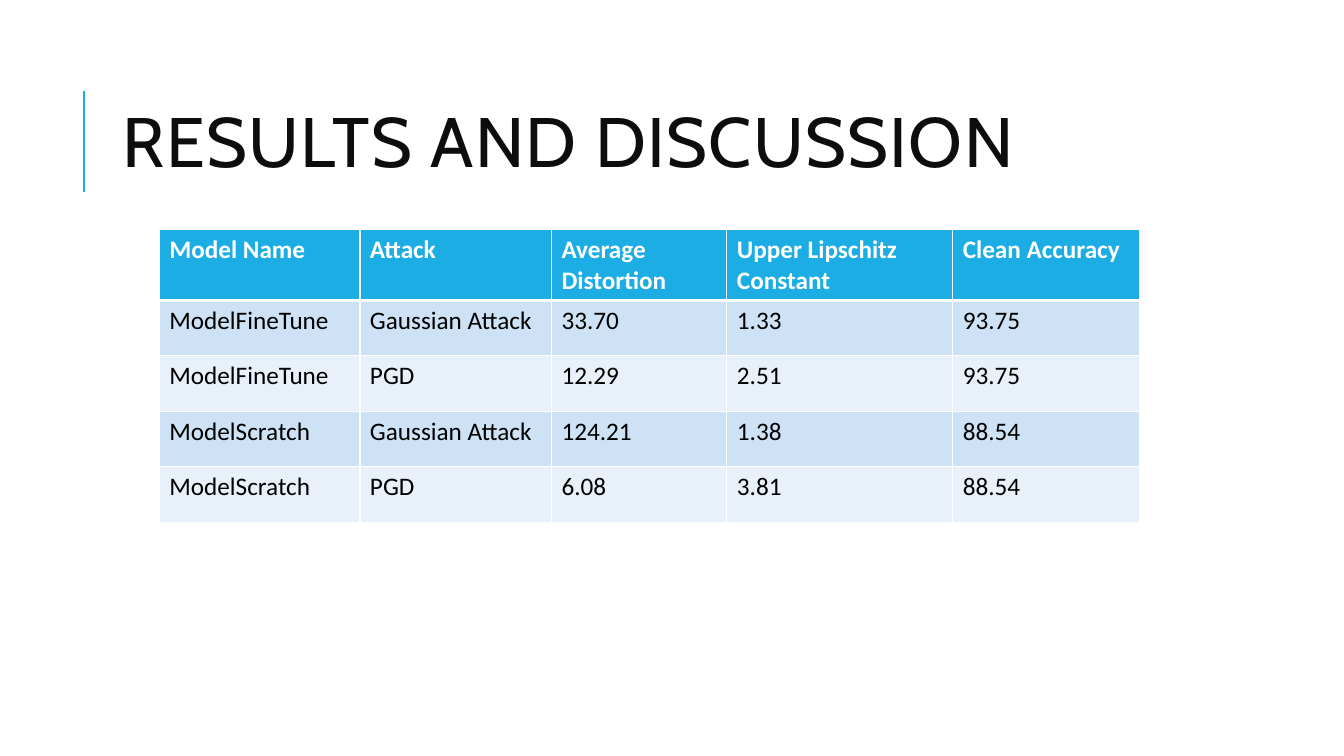
import dataclasses

import lxml.etree
import pptx
import pptx.dml.color
import pptx.enum.shapes
import pptx.enum.text
import pptx.oxml.ns
import pptx.util

Inches = pptx.util.Inches
Pt = pptx.util.Pt
qn = pptx.oxml.ns.qn


@dataclasses.dataclass(frozen=True)
class Theme:
    accent: str = "1CADE4"
    title_color: str = "0D0D0D"
    header_text: str = "FFFFFF"
    body_text: str = "000000"
    border: str = "FFFFFF"
    bands: tuple = ("CDE3F5", "E8F1FA")
    title_font: str = "Cabin"
    table_font: str = "Calibri"
    title_size: int = 50
    table_size: int = 18
    thin_border: int = 1
    header_border: int = 3


def rgb(color):
    return pptx.dml.color.RGBColor.from_string(color)


class SlideBuilder:
    def __init__(self, slide, theme):
        self.slide = slide
        self.theme = theme

    def style(self, paragraph, name, size, color, bold=False):
        font = paragraph.font
        font.name = name
        font.size = Pt(size)
        font.color.rgb = rgb(color)
        font.bold = bold

    def accent_line(self, x, top, bottom):
        line = self.slide.shapes.add_connector(
            pptx.enum.shapes.MSO_CONNECTOR.STRAIGHT,
            Inches(x), Inches(bottom), Inches(x), Inches(top))
        line.line.color.rgb = rgb(self.theme.accent)
        line.line.width = Pt(1.5)
        properties = line._element.spPr
        lxml.etree.SubElement(properties, qn("a:effectLst"))

    def title(self, text, left, top, width, height):
        box = self.slide.shapes.add_textbox(
            Inches(left), Inches(top), Inches(width), Inches(height))
        frame = box.text_frame
        frame.word_wrap = True
        frame.vertical_anchor = pptx.enum.text.MSO_ANCHOR.MIDDLE
        paragraph = frame.paragraphs[0]
        paragraph.line_spacing = 0.8
        run = paragraph.add_run()
        run.text = text
        run._r.get_or_add_rPr().set("spc", "100")
        self.style(paragraph, self.theme.title_font, self.theme.title_size,
                   self.theme.title_color)

    def cell_borders(self, cell, top, bottom):
        """Draw the four edges; top and bottom are widths in points."""
        thin = self.theme.thin_border
        properties = cell._tc.get_or_add_tcPr()
        for side, width in (("L", thin), ("R", thin), ("T", top), ("B", bottom)):
            edge = lxml.etree.SubElement(properties, qn(f"a:ln{side}"), w=str(Pt(width)))
            fill = lxml.etree.SubElement(edge, qn("a:solidFill"))
            lxml.etree.SubElement(fill, qn("a:srgbClr"), val=self.theme.border)

    def table(self, rows, left, top, column_widths, row_height):
        theme = self.theme
        table = self.slide.shapes.add_table(
            len(rows), len(column_widths), Inches(left), Inches(top),
            Inches(sum(column_widths)), Inches(row_height * len(rows))).table
        for column, width in zip(table.columns, column_widths):
            column.width = Inches(width)
        for row_index, values in enumerate(rows):
            table.rows[row_index].height = Inches(row_height)
            is_header = row_index == 0
            fill = theme.accent if is_header else theme.bands[(row_index - 1) % 2]
            color = theme.header_text if is_header else theme.body_text
            top_border = theme.header_border if row_index == 1 else theme.thin_border
            bottom_border = theme.header_border if is_header else theme.thin_border
            for column_index, value in enumerate(values):
                cell = table.cell(row_index, column_index)
                cell.text = value
                self.cell_borders(cell, top_border, bottom_border)
                cell.fill.solid()
                cell.fill.fore_color.rgb = rgb(fill)
                self.style(cell.text_frame.paragraphs[0], theme.table_font,
                           theme.table_size, color, is_header)


RESULTS = (
    ("Model Name", "Attack", "Average Distortion", "Upper Lipschitz Constant", "Clean Accuracy"),
    ("ModelFineTune", "Gaussian Attack", "33.70", "1.33", "93.75"),
    ("ModelFineTune", "PGD", "12.29", "2.51", "93.75"),
    ("ModelScratch", "Gaussian Attack", "124.21", "1.38", "88.54"),
    ("ModelScratch", "PGD", "6.08", "3.81", "88.54"),
)


def main():
    presentation = pptx.Presentation()
    presentation.slide_width = Inches(13.33)
    presentation.slide_height = Inches(7.5)
    slide = presentation.slides.add_slide(presentation.slide_layouts[6])
    builder = SlideBuilder(slide, Theme())
    builder.accent_line(0.83, 0.9, 1.9)
    builder.title("RESULTS AND DISCUSSION", 1.12, 0.64, 10.63, 1.64)
    builder.table(RESULTS, 1.58, 2.28, (1.99, 1.9, 1.74, 2.24, 1.85), 0.55)
    presentation.save("out.pptx")


if __name__ == "__main__":
    main()
